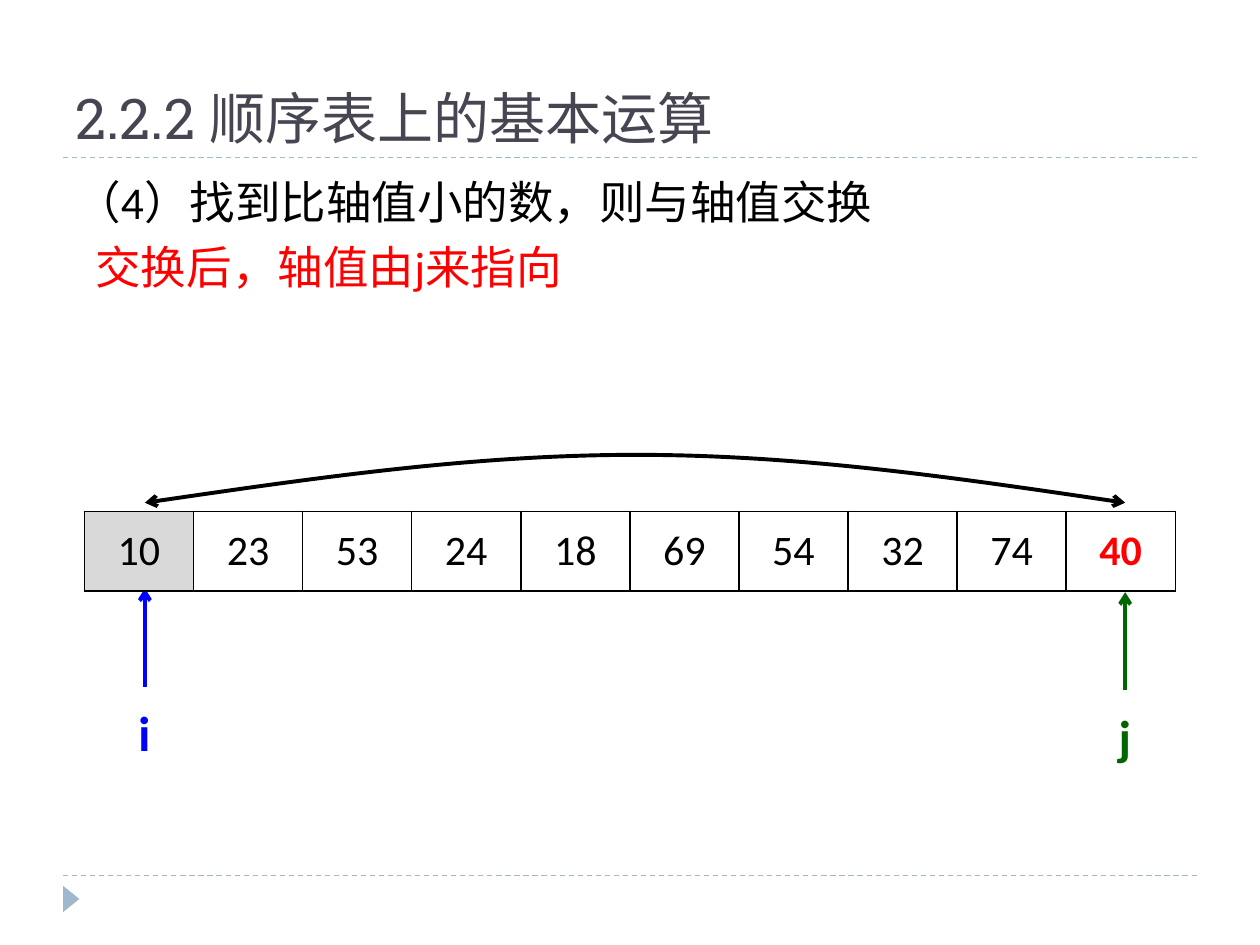
from lxml.etree import SubElement
from pptx import Presentation
from pptx.dml.color import RGBColor
from pptx.enum.dml import MSO_LINE
from pptx.enum.shapes import MSO_CONNECTOR, MSO_SHAPE
from pptx.enum.text import MSO_ANCHOR, MSO_AUTO_SIZE, PP_ALIGN
from pptx.oxml.ns import qn
from pptx.util import Inches, Pt

COLORS = {
    "title": "464653", "accent": "9FB8CD", "black": "000000", "white": "FFFFFF",
    "red": "FF0000", "blue": "0000FF", "green": "006600", "gray": "D9D9D9",
}
VALUES = [10, 23, 53, 24, 18, 69, 54, 32, 74, 40]
LEFT_X, RIGHT_X = 1.15, 8.93
SWAP_CURVE = [(LEFT_X, 3.99), (2.45, 3.8), (3.76, 3.61), (5.05, 3.61),
              (6.35, 3.61), (7.64, 3.8), (RIGHT_X, 3.99)]


def rgb(name):
    return RGBColor.from_string(COLORS[name])


def format_runs(p, size, color, font="Calibri", bold=False):
    for r in p.runs:
        r.font.size = Pt(size)
        r.font.name = font
        r.font.bold = bold
        r.font.color.rgb = rgb(color)


def style_line(line, color, width, ends=()):
    line.color.rgb = rgb(color)
    line.width = Pt(width)
    ln = line._get_or_add_ln()
    for end in ends:
        SubElement(ln, qn(f"a:{end}"), type="arrow")


def add_line(s, start, end, color, width, ends=()):
    points = [Inches(v) for v in (*start, *end)]
    line = s.shapes.add_connector(MSO_CONNECTOR.STRAIGHT, *points)
    style_line(line.line, color, width, ends)
    SubElement(line._element.spPr, qn("a:effectLst"))
    return line


def add_rule(s, y):
    add_line(s, (0.5, y), (9.5, y), "accent", 0.75).line.dash_style = MSO_LINE.DASH


def add_marker(s):
    sp = s.shapes.add_shape(MSO_SHAPE.ISOSCELES_TRIANGLE, Inches(0.46), Inches(7.07),
                            Inches(0.21), Inches(0.13))
    sp.rotation = 90
    sp.shadow.inherit = False
    sp.fill.solid()
    sp.fill.fore_color.rgb = rgb("accent")
    sp.line.fill.background()


def set_title(s, text):
    sp = s.shapes.title
    sp.left, sp.top, sp.width, sp.height = [Inches(v) for v in (0.5, 0.17, 9, 1.08)]
    tf = sp.text_frame
    tf.text = text
    tf.auto_size = MSO_AUTO_SIZE.NONE
    tf.vertical_anchor = MSO_ANCHOR.BOTTOM
    p = tf.paragraphs[0]
    p.alignment = PP_ALIGN.LEFT
    format_runs(p, 32, "title", "Roboto Slab")


def add_text(s, x, y, w, h, lines, size, bold=False, wrap=True, space=0):
    tf = s.shapes.add_textbox(Inches(x), Inches(y), Inches(w), Inches(h)).text_frame
    tf.word_wrap = wrap
    tf.text = "\n".join(text for text, _, _ in lines)
    for p, (_, color, indent) in zip(tf.paragraphs, lines):
        p.space_before = Pt(space)
        p._p.get_or_add_pPr().set("marL", str(Inches(indent)))
        format_runs(p, size, color, bold=bold)


def add_pointer(s, name, x, top, color):
    add_line(s, (x, top + 0.78), (x, top), color, 2.25, ["tailEnd"])
    add_text(s, x - 0.15, top + 0.86, 0.3, 0.57, [(name, color, 0)], 28, bold=True, wrap=False)


def border_cell(cell):
    tcPr = cell._tc.get_or_add_tcPr()
    for i, side in enumerate(("lnL", "lnR", "lnT", "lnB")):
        ln = tcPr.makeelement(qn(f"a:{side}"), {"w": str(Pt(1))})
        fill = SubElement(ln, qn("a:solidFill"))
        SubElement(fill, qn("a:srgbClr"), val=COLORS["black"])
        tcPr.insert(i, ln)


def add_array(s, values):
    table = s.shapes.add_table(1, len(values), Inches(0.67), Inches(4.06),
                               Inches(8.66), Inches(0.63)).table
    last = len(values) - 1
    for i, value in enumerate(values):
        cell = table.cell(0, i)
        cell.text = str(value)
        cell.vertical_anchor = MSO_ANCHOR.MIDDLE
        cell.fill.solid()
        cell.fill.fore_color.rgb = rgb("white" if i else "gray")
        p = cell.text_frame.paragraphs[0]
        p.alignment = PP_ALIGN.CENTER
        format_runs(p, 24, "red" if i == last else "black", bold=i == last)
        border_cell(cell)


def add_curve(s, points):
    start, *rest = [(Inches(x), Inches(y)) for x, y in points]
    builder = s.shapes.build_freeform(*start)
    builder.add_line_segments(rest, close=False)
    sp = builder.convert_to_shape()
    segments = list(sp._element.iter(qn("a:lnTo")))
    for i in range(0, len(segments), 3):
        curve = SubElement(segments[i].getparent(), qn("a:cubicBezTo"))
        for segment in segments[i:i + 3]:
            curve.append(segment[0])
            segment.getparent().remove(segment)
    sp.shadow.inherit = False
    sp.fill.background()
    style_line(sp.line, "black", 2.25, ["headEnd", "tailEnd"])


def main():
    prs = Presentation()
    prs.slide_width, prs.slide_height = Inches(10), Inches(7.5)
    s = prs.slides.add_slide(prs.slide_layouts[5])
    add_rule(s, 6.95)
    add_rule(s, 1.25)
    add_marker(s)
    set_title(s, "2.2.2 顺序表上的基本运算")
    add_text(s, 0.5, 1.33, 9, 5.4, [
        ("（4）找到比轴值小的数，则与轴值交换", "black", 0),
        ("交换后，轴值由j来指向", "red", 0.16),
    ], 26, space=6)
    add_pointer(s, "i", LEFT_X, 4.67, "blue")
    add_pointer(s, "j", RIGHT_X, 4.7, "green")
    add_array(s, VALUES)
    add_curve(s, SWAP_CURVE)
    prs.save("out.pptx")


if __name__ == "__main__":
    main()
